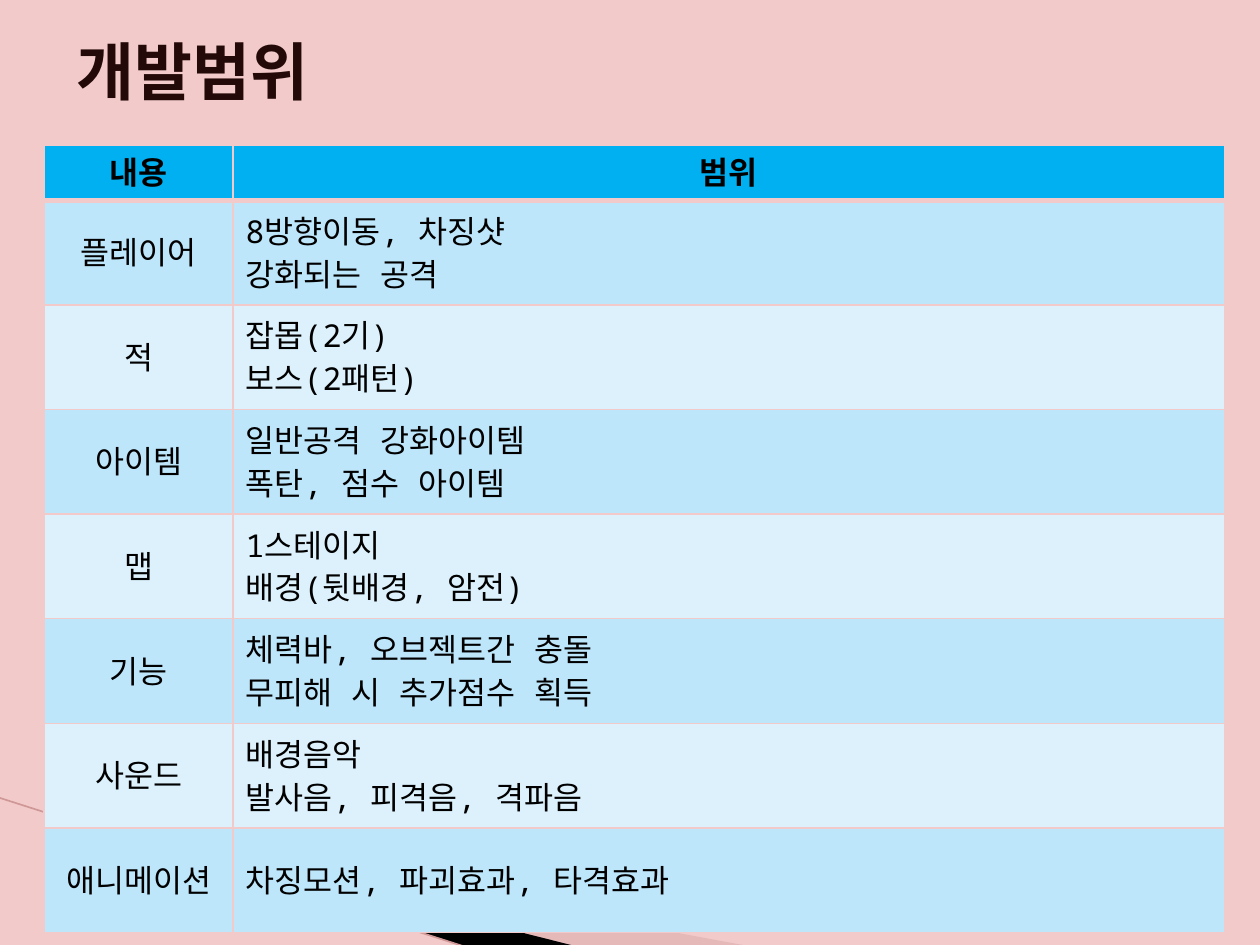
import pptx
import pptx.util
import pptx.dml.color
import pptx.enum.shapes
import pptx.enum.text
import pptx.oxml
import pptx.oxml.ns
from lxml import etree

Inches = pptx.util.Inches
Pt = pptx.util.Pt
ALIGN = pptx.enum.text.PP_ALIGN
MIDDLE = pptx.enum.text.MSO_ANCHOR.MIDDLE
qn = pptx.oxml.ns.qn

FONT = "Noto Sans Mono"
PINK = "F2CACA"
HEADER_FILL = "00B0F0"
BAND_FILLS = ("BEE6FA", "DCF1FC")
COLUMN_WIDTHS = (1.5, 7.87)
HEADER_HEIGHT, ROW_HEIGHT = 0.42, 0.83
HEADINGS = ("내용", "범위")
SCOPE = (
    ("플레이어", "8방향이동, 차징샷\n강화되는 공격"),
    ("적", "잡몹(2기)\n보스(2패턴)"),
    ("아이템", "일반공격 강화아이템\n폭탄, 점수 아이템"),
    ("맵", "1스테이지\n배경(뒷배경, 암전)"),
    ("기능", "체력바, 오브젝트간 충돌\n무피해 시 추가점수 획득"),
    ("사운드", "배경음악\n발사음, 피격음, 격파음"),
    ("애니메이션", "차징모션, 파괴효과, 타격효과"),
)


def rgb(value):
    return pptx.dml.color.RGBColor.from_string(value)


def write(frame, text, size=18, color="000000", bold=False, align=ALIGN.LEFT):
    """Fill a text frame, one paragraph for each line of text."""
    for index, line in enumerate(text.split("\n")):
        para = frame.add_paragraph() if index else frame.paragraphs[0]
        para.alignment = align
        span = para.add_run()
        span.text = line
        span.font.name = FONT
        span.font.size = Pt(size)
        span.font.bold = bold
        span.font.color.rgb = rgb(color)
        east_asian = etree.SubElement(span.font._element, qn("a:ea"))
        east_asian.set("typeface", FONT)


def add_wedge(page, left, top, points, color, opacity=None):
    """Draw a filled outline whose points are relative to left and top."""
    corners = [(Inches(left + x), Inches(top + y)) for x, y in points]
    builder = page.shapes.build_freeform(*corners[0])
    builder.add_line_segments(corners[1:], close=True)
    wedge = builder.convert_to_shape()
    wedge.shadow.inherit = False
    wedge.line.fill.background()
    wedge.fill.solid()
    wedge.fill.fore_color.rgb = rgb(color)
    if opacity is not None:
        fill_color = wedge._element.spPr.find(".//" + qn("a:srgbClr"))
        alpha = etree.SubElement(fill_color, qn("a:alpha"))
        alpha.set("val", str(opacity * 1000))


def add_corner_decoration(page, left, top):
    add_wedge(page, left + 0.56, top + 0.17,
              [(0, 0.01), (5.4, 1.01), (4.01, 1.01), (0, 0)], "D5A0A0", opacity=40)
    add_wedge(page, left + 0.54, top + 0.16,
              [(0, 0), (4.04, 1.02), (3.19, 1.03), (0.01, 0.01)], "000000")
    edge = page.shapes.add_connector(
        pptx.enum.shapes.MSO_CONNECTOR.STRAIGHT, Inches(left), Inches(top),
        Inches(left + 3.72), Inches(top + 1.19))
    edge.line.color.rgb = rgb("D09797")
    edge.line.width = Pt(0.95)
    etree.SubElement(edge._element.spPr, qn("a:effectLst"))


def place_title(page, left, top, width, height):
    title = page.shapes.title
    title.left, title.top = Inches(left), Inches(top)
    title.width, title.height = Inches(width), Inches(height)
    title.text_frame.vertical_anchor = MIDDLE
    write(title.text_frame, "개발범위", size=36, color="240909", bold=True)


def set_borders(cell, top, bottom):
    """Give a cell pink borders; top and bottom widths are in points."""
    properties = cell._tc.get_or_add_tcPr()
    widths = {"L": 1, "R": 1, "T": top, "B": bottom}
    for index, (side, width) in enumerate(widths.items()):
        border = pptx.oxml.parse_xml(
            f'<a:ln{side} {pptx.oxml.ns.nsdecls("a")} w="{Pt(width)}">'
            f'<a:solidFill><a:srgbClr val="{PINK}"/></a:solidFill></a:ln{side}>')
        properties.insert(index, border)


def add_scope_table(page, left, top, width, height):
    rows = (HEADINGS,) + SCOPE
    table = page.shapes.add_table(
        len(rows), len(HEADINGS), Inches(left), Inches(top),
        Inches(width), Inches(height)).table
    for column, column_width in zip(table.columns, COLUMN_WIDTHS):
        column.width = Inches(column_width)
    for r, texts in enumerate(rows):
        header = r == 0
        table.rows[r].height = Inches(HEADER_HEIGHT if header else ROW_HEIGHT)
        for c, text in enumerate(texts):
            cell = table.cell(r, c)
            cell.vertical_anchor = MIDDLE
            cell.fill.solid()
            cell.fill.fore_color.rgb = rgb(
                HEADER_FILL if header else BAND_FILLS[(r - 1) % 2])
            set_borders(cell, top=3 if r == 1 else 1, bottom=3 if header else 1)
            centred = header or c == 0
            write(cell.text_frame, text, bold=header,
                  align=ALIGN.CENTER if centred else ALIGN.LEFT)


def main():
    deck = pptx.Presentation()
    deck.slide_width, deck.slide_height = Inches(10), Inches(7.5)
    page = deck.slides.add_slide(deck.slide_layouts[5])
    page.background.fill.solid()
    page.background.fill.fore_color.rgb = rgb(PINK)
    add_corner_decoration(page, -0.01, 6.33)
    place_title(page, 0.51, 0.13, 4.89, 0.85)
    add_scope_table(page, 0.35, 1.15, 9.37, 6.2)
    deck.save("out.pptx")


if __name__ == "__main__":
    main()
